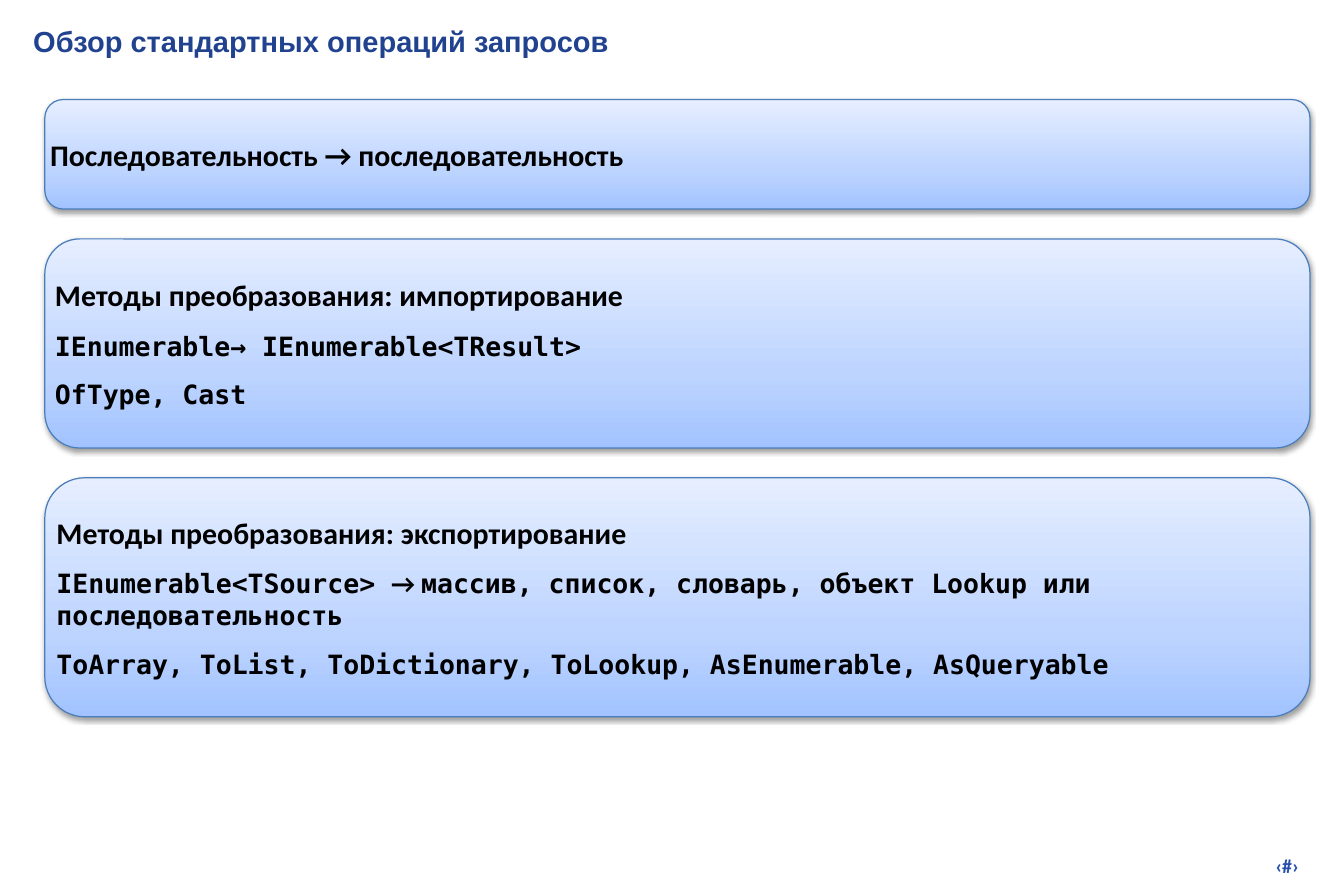
"""Build a slide that surveys the standard query operations."""
from dataclasses import dataclass

from pptx import Presentation
from pptx import oxml
from pptx.dml import color
from pptx.enum import shapes, text
from pptx.oxml import ns
from pptx.util import Pt


@dataclass(frozen=True)
class Theme:
    """Colours, fonts and type sizes of the slide."""
    title: str = "21438F"
    number: str = "2750AB"
    ink: str = "000000"
    outline: str = "4A7EBB"
    gradient: tuple = ((0, "A2C3FF"), (35, "BDD4FF"), (100, "E6EEFF"))
    title_font: str = "Arial"
    heading_font: str = "Calibri"
    code_font: str = "DejaVu Sans Mono"
    title_size: float = 17.5
    heading_size: float = 18
    code_size: float = 16
    number_size: float = 12


THEME = Theme()
CARD_LEFT, CARD_TOP, CARD_WIDTH, CARD_GAP = 27, 60, 762.5, 18
HEADING = (THEME.heading_font, THEME.heading_size)
CODE = (THEME.code_font, THEME.code_size)
ARROW = (THEME.heading_font, THEME.code_size)

CARDS = [
    (66, [[("Последовательность → последовательность", HEADING)]]),
    (126, [
        [("Методы преобразования: импортирование", HEADING)],
        [("IEnumerable→ IEnumerable<TResult>", CODE)],
        [("OfType, Cast", CODE)],
    ]),
    (144, [
        [("Методы преобразования: экспортирование", HEADING)],
        [("IEnumerable<TSource> ", CODE), ("→ ", ARROW),
         ("массив, список, словарь, объект Lookup или последовательность", CODE)],
        [("ToArray, ToList, ToDictionary, ToLookup, AsEnumerable, AsQueryable", CODE)],
    ]),
]


def set_frame(frame, anchor, inset=0):
    """Set wrapping, anchor and equal insets of a text frame."""
    frame.word_wrap = True
    frame.auto_size = text.MSO_AUTO_SIZE.NONE
    frame.vertical_anchor = anchor
    frame.margin_left = frame.margin_right = Pt(inset)
    frame.margin_top = frame.margin_bottom = Pt(inset)


def add_run(paragraph, wording, style, ink):
    """Append a bold run in the given font, size and colour."""
    run = paragraph.add_run()
    run.text = wording
    run.font.name, run.font.size = style[0], Pt(style[1])
    run.font.bold = True
    run.font.color.rgb = color.RGBColor.from_string(ink)


def add_title(slide, wording):
    """Place and fill the title placeholder."""
    title = slide.shapes.title
    title.left, title.top, title.width, title.height = Pt(20), Pt(14.4), Pt(773), Pt(29)
    set_frame(title.text_frame, text.MSO_ANCHOR.TOP)
    heading = title.text_frame.paragraphs[0]
    heading.alignment = text.PP_ALIGN.LEFT
    add_run(heading, wording, (THEME.title_font, THEME.title_size), THEME.title)


def paint_card(card):
    """Give a card its gradient, outline and soft shadow."""
    card.fill.gradient()
    card.fill.gradient_angle = 90
    stops = card._element.spPr.find(".//" + ns.qn("a:gsLst"))
    for stop in list(stops):
        stops.remove(stop)
    for position, tint in THEME.gradient:
        stops.append(oxml.parse_xml(
            f'<a:gs {ns.nsdecls("a")} pos="{position * 1000}"><a:srgbClr val="{tint}"/></a:gs>'))
    card.line.color.rgb = color.RGBColor.from_string(THEME.outline)
    card.line.width = Pt(0.75)
    card.shadow.inherit = False
    card._element.spPr.find(ns.qn("a:effectLst")).append(oxml.parse_xml(
        f'<a:outerShdw {ns.nsdecls("a")} blurRad="{Pt(3)}" dist="{Pt(1.6)}" dir="5400000" '
        f'rotWithShape="0"><a:srgbClr val="{THEME.ink}"><a:alpha val="38000"/></a:srgbClr>'
        '</a:outerShdw>'))


def add_card(slide, top, height, lines):
    """Add a rounded card that holds its lines of text."""
    card = slide.shapes.add_shape(shapes.MSO_SHAPE.ROUNDED_RECTANGLE,
                                  Pt(CARD_LEFT), Pt(top), Pt(CARD_WIDTH), Pt(height))
    paint_card(card)
    frame = card.text_frame
    set_frame(frame, text.MSO_ANCHOR.MIDDLE)
    for index, line in enumerate(lines):
        paragraph = frame.add_paragraph() if index else frame.paragraphs[0]
        paragraph.alignment = text.PP_ALIGN.LEFT
        paragraph.space_before = Pt(10 if index else 0)
        for wording, style in line:
            add_run(paragraph, wording, style, THEME.ink)


def add_number(slide):
    """Add the slide number mark at the lower right."""
    number = slide.shapes.add_textbox(Pt(615), Pt(511), Pt(171.5), Pt(21))
    set_frame(number.text_frame, text.MSO_ANCHOR.TOP, 3.6)
    mark = number.text_frame.paragraphs[0]
    mark.alignment = text.PP_ALIGN.RIGHT
    add_run(mark, "‹#›", (THEME.heading_font, THEME.number_size), THEME.number)


def main():
    """Assemble and save the slide."""
    deck = Presentation()
    deck.slide_width, deck.slide_height = Pt(810), Pt(540)
    slide = deck.slides.add_slide(deck.slide_layouts.get_by_name("Title Only"))
    add_title(slide, "Обзор стандартных операций запросов")
    top = CARD_TOP
    for height, lines in CARDS:
        add_card(slide, top, height, lines)
        top += height + CARD_GAP
    add_number(slide)
    deck.save("out.pptx")


if __name__ == "__main__":
    main()
